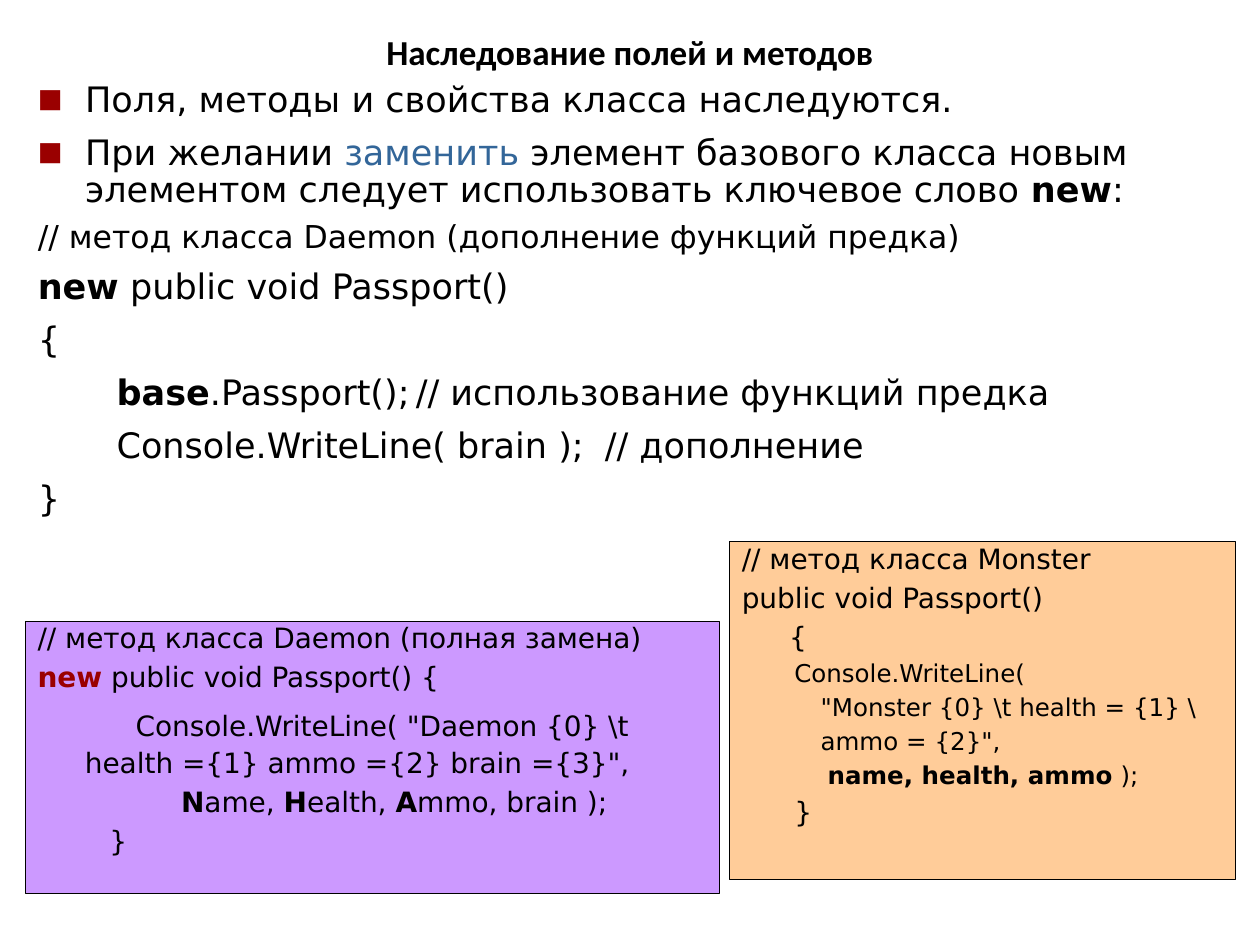
import dataclasses
import pptx
import pptx.util
import pptx.dml.color
import pptx.enum.shapes
import pptx.enum.text
import pptx.oxml
import pptx.oxml.ns

Pt = pptx.util.Pt
RGB = pptx.dml.color.RGBColor.from_string
ALIGN = pptx.enum.text.PP_ALIGN
ANCHOR = pptx.enum.text.MSO_ANCHOR


@dataclasses.dataclass(frozen=True)
class Theme:
    head: str = "Calibri"
    font: str = "DejaVu Sans"
    ink: str = "000000"
    red: str = "9A0000"
    blue: str = "336699"
    violet: str = "CC99FF"
    peach: str = "FFCC99"
    big: int = 20
    note: int = 18
    code: int = 16
    small: int = 14
    before: float = 0.27
    after: float = 0.16
    hang: int = 27


THEME = Theme()


def bold(text, color=THEME.ink):
    return text, True, color


def tint(text, color):
    return text, False, color


def node(par, tag, **attrs):
    item = pptx.oxml.ns.qn("a:" + tag)
    child = par.makeelement(item, attrs)
    par.append(child)
    return child


def write(par, *runs, size=THEME.big, font=THEME.font, align=ALIGN.LEFT,
          space=0.9, left=0, first=0, bullet=False, tab=None, gaps=True):
    par.alignment = align
    par.line_spacing = space
    par.space_before = Pt(size * THEME.before if gaps else 0)
    par.space_after = Pt(size * THEME.after if gaps else 0)
    props = par._p.get_or_add_pPr()
    props.set("marL", str(Pt(left)))
    props.set("indent", str(Pt(first)))
    if bullet:
        node(node(props, "buClr"), "srgbClr", val=THEME.red)
        node(props, "buSzPct", val="75000")
        node(props, "buFont", typeface=THEME.font)
        node(props, "buChar", char="■")
    else:
        node(props, "buNone")
    if tab:
        node(node(props, "tabLst"), "tab", pos=str(Pt(tab)), algn="l")
    for part in runs:
        text, strong, color = tint(part, THEME.ink) if isinstance(part, str) else part
        run = par.add_run()
        run.text = text
        run.font.name = font
        run.font.size = Pt(size)
        run.font.bold = strong
        run.font.color.rgb = RGB(color)


class Page:
    def __init__(self, deck, theme):
        self.theme = theme
        self.slide = deck.slides.add_slide(deck.slide_layouts[1])

    def fill(self, shape, lines, anchor=ANCHOR.TOP, **base):
        frame = shape.text_frame
        frame.word_wrap = True
        frame.auto_size = pptx.enum.text.MSO_AUTO_SIZE.NONE
        frame.vertical_anchor = anchor
        for num, (runs, form) in enumerate(lines):
            par = frame.add_paragraph() if num else frame.paragraphs[0]
            write(par, *runs, **{**base, **form})

    def place(self, shape, area):
        shape.left, shape.top, shape.width, shape.height = map(Pt, area)

    def title(self, text, area):
        shape = self.slide.shapes.title
        self.place(shape, area)
        self.fill(shape, [([bold(text)], {})], ANCHOR.MIDDLE, font=self.theme.head,
                  align=ALIGN.CENTER, space=1.0, gaps=False)

    def body(self, lines, area):
        shape = self.slide.placeholders[1]
        self.place(shape, area)
        self.fill(shape, lines)

    def panel(self, lines, area, color):
        kind = pptx.enum.shapes.MSO_SHAPE.RECTANGLE
        shape = self.slide.shapes.add_shape(kind, *map(Pt, area))
        shape.shadow.inherit = False
        shape.fill.solid()
        shape.fill.fore_color.rgb = RGB(color)
        shape.line.color.rgb = RGB(self.theme.ink)
        shape.line.width = Pt(0.75)
        self.fill(shape, lines, size=self.theme.code, space=0.8)


def main():
    deck = pptx.Presentation()
    deck.slide_width, deck.slide_height = Pt(720), Pt(540)
    page = Page(deck, THEME)
    page.title("Наследование полей и методов", (36, 9.5, 648, 39.5))

    item = dict(left=THEME.hang, first=-THEME.hang, bullet=True)
    page.body([
        (["Поля, методы и свойства класса наследуются."], item),
        (["При желании ", tint("заменить", THEME.blue),
          " элемент базового класса новым элементом следует использовать ключевое слово ",
          bold("new"), ":"], item),
        (["// метод класса Daemon (дополнение функций предка)"],
         dict(size=THEME.note, space=0.8)),
        ([bold("new"), " public void Passport()"], {}),
        (["{"], {}),
        ([bold("base"), ".Passport();\t// использование функций предка"],
         dict(first=45, tab=282)),
        (["Console.WriteLine( brain );\t// дополнение"], dict(first=45, tab=401)),
        (["}"], {}),
    ], (14.4, 43.2, 674, 272))

    page.panel([
        (["// метод класса Daemon (полная замена)"], {}),
        ([bold("new", THEME.red), " public void Passport() {"], {}),
        (['Console.WriteLine( "Daemon {0} \\t health ={1} ammo ={2} brain ={3}",'],
         dict(left=THEME.hang, first=29, space=1.1)),
        ([bold("N"), "ame, ", bold("H"), "ealth, ", bold("A"), "mmo, brain );"],
         dict(first=82)),
        (["}"], dict(first=41)),
    ], (14.4, 355, 396.6, 155.5), THEME.violet)

    small = dict(size=THEME.small)
    page.panel([
        (["// метод класса Monster"], {}),
        (["public void Passport()"], {}),
        (["{"], dict(first=27)),
        (["Console.WriteLine("], dict(first=30, **small)),
        (['"Monster {0} \\t health = {1} \\'], dict(first=45, **small)),
        (['ammo = {2}",'], dict(first=45, **small)),
        ([bold("name, health, ammo"), " );"], dict(first=49, **small)),
        (["}"], dict(first=30)),
    ], (416.8, 309.6, 289.4, 193), THEME.peach)

    deck.save("out.pptx")


if __name__ == "__main__":
    main()
